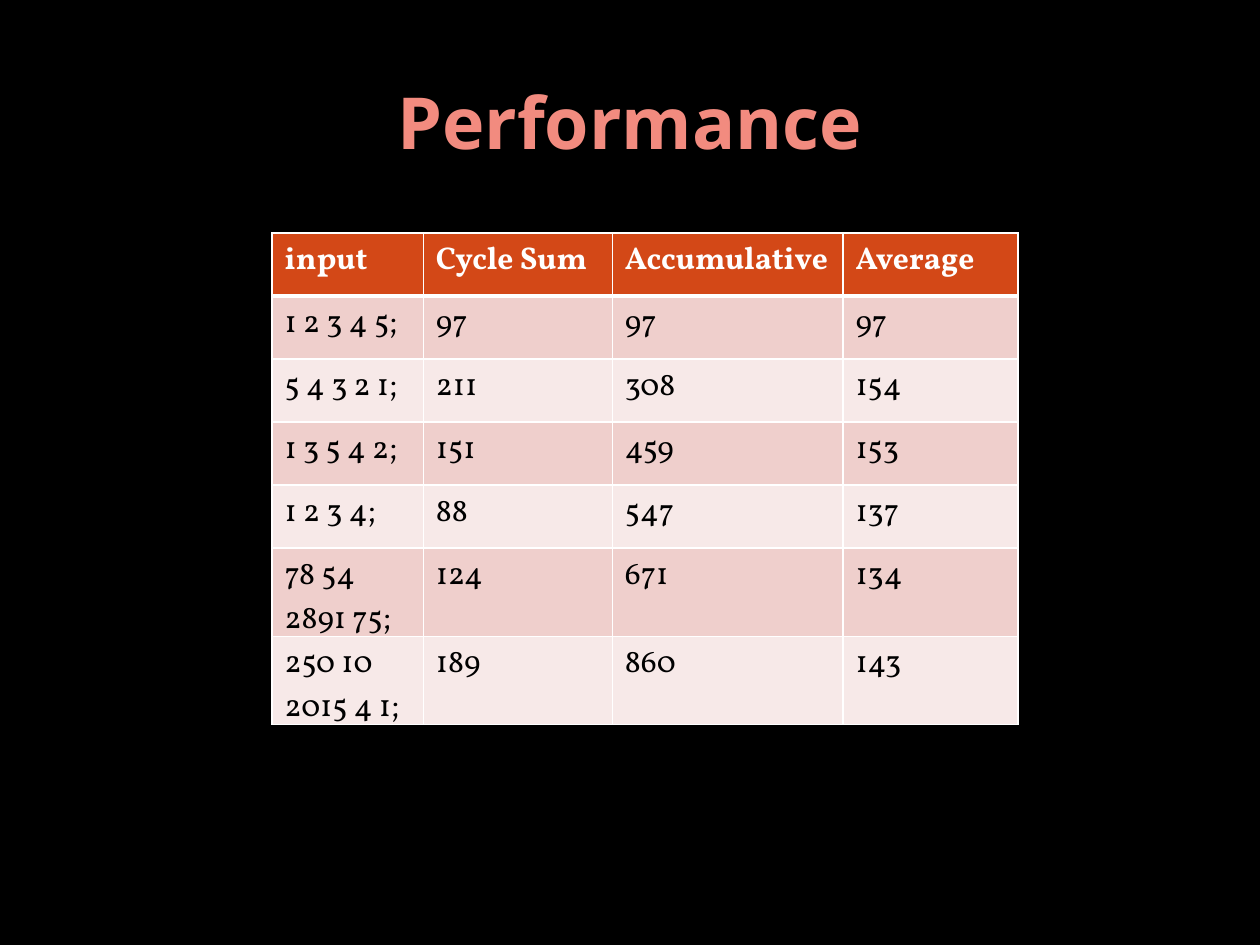
from lxml import etree
from pptx import Presentation
from pptx.dml.color import RGBColor
from pptx.enum.text import MSO_ANCHOR, PP_ALIGN
from pptx.oxml import parse_xml
from pptx.oxml.ns import nsdecls
from pptx.util import Inches, Pt

COLORS = {
    "background": "000000",
    "title": "F28B7F",
    "header": "D34817",
    "odd": "EFCFCC",
    "even": "F7E9E8",
    "white": "FFFFFF",
    "black": "000000",
}


def write_text(frame, text, font, size, color, bold=False, align=PP_ALIGN.LEFT):
    paragraph = frame.paragraphs[0]
    paragraph.alignment = align
    run = paragraph.add_run()
    run.text = text
    run.font.name = font
    run.font.size = Pt(size)
    run.font.bold = bold
    run.font.color.rgb = RGBColor.from_string(COLORS[color])


def set_borders(cell, widths):
    properties = cell._tc.get_or_add_tcPr()
    for index, (side, width) in enumerate(widths.items()):
        border = parse_xml(
            f'<a:ln{side} {nsdecls("a")} w="{Pt(width)}"><a:solidFill>'
            f'<a:srgbClr val="{COLORS["white"]}"/></a:solidFill></a:ln{side}>'
        )
        properties.insert(index, border)


presentation = Presentation()
presentation.slide_width = Inches(10)
presentation.slide_height = Inches(7.5)
slide = presentation.slides.add_slide(presentation.slide_layouts[6])
slide.background.fill.solid()
slide.background.fill.fore_color.rgb = RGBColor.from_string(COLORS["background"])

title = slide.shapes.add_textbox(Inches(0.5), Inches(0.33), Inches(9), Inches(1.25))
title.text_frame.word_wrap = True
title.text_frame.vertical_anchor = MSO_ANCHOR.MIDDLE
write_text(title.text_frame, "Performance", font="Open Sans", size=41,
           color="title", bold=True, align=PP_ALIGN.CENTER)

rows = [
    ("input", "Cycle Sum", "Accumulative", "Average"),
    ("1 2 3 4 5;", "97", "97", "97"),
    ("5 4 3 2 1;", "211", "308", "154"),
    ("1 3 5 4 2;", "151", "459", "153"),
    ("1 2 3 4;", "88", "547", "137"),
    ("78 54 2891 75;", "124", "671", "134"),
    ("250 10 2015 4 1;", "189", "860", "143"),
]
column_widths = [1.2, 1.5, 1.83, 1.39]
row_height = 0.5

table = slide.shapes.add_table(
    len(rows), len(column_widths), Inches(2.16), Inches(1.85),
    Inches(sum(column_widths)), Inches(row_height * len(rows)),
).table
for column, width in zip(table.columns, column_widths):
    column.width = Inches(width)

for row_index, values in enumerate(rows):
    table.rows[row_index].height = Inches(row_height)
    is_header = row_index == 0
    fill = "header" if is_header else "odd" if row_index % 2 else "even"
    borders = {"L": 1, "R": 1, "T": 3 if row_index == 1 else 1, "B": 3 if is_header else 1}
    for column_index, value in enumerate(values):
        cell = table.cell(row_index, column_index)
        cell.fill.solid()
        cell.fill.fore_color.rgb = RGBColor.from_string(COLORS[fill])
        set_borders(cell, borders)
        write_text(cell.text_frame, value, font="Vollkorn", size=18,
                   color="white" if is_header else "black", bold=is_header)

presentation.save("out.pptx")
